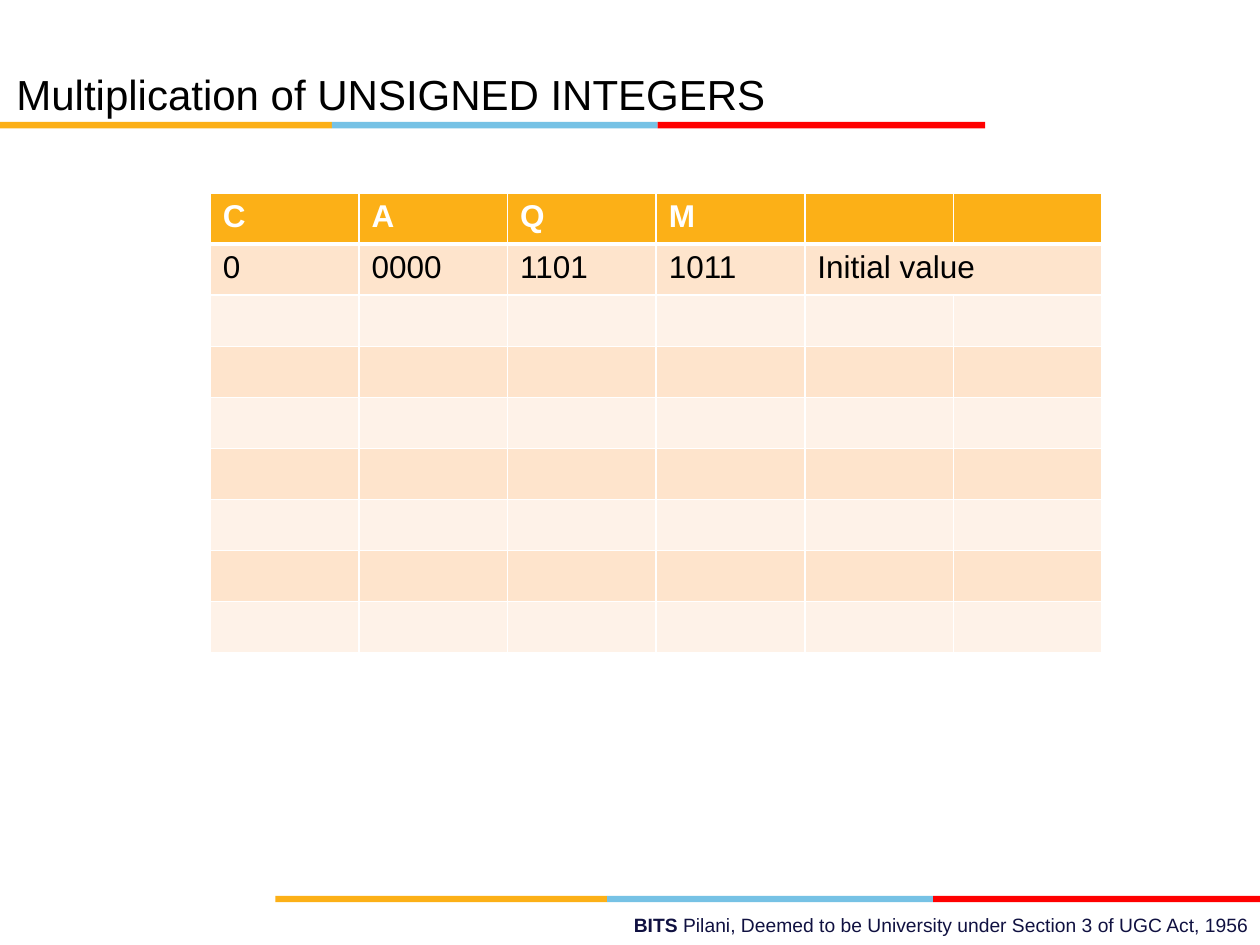
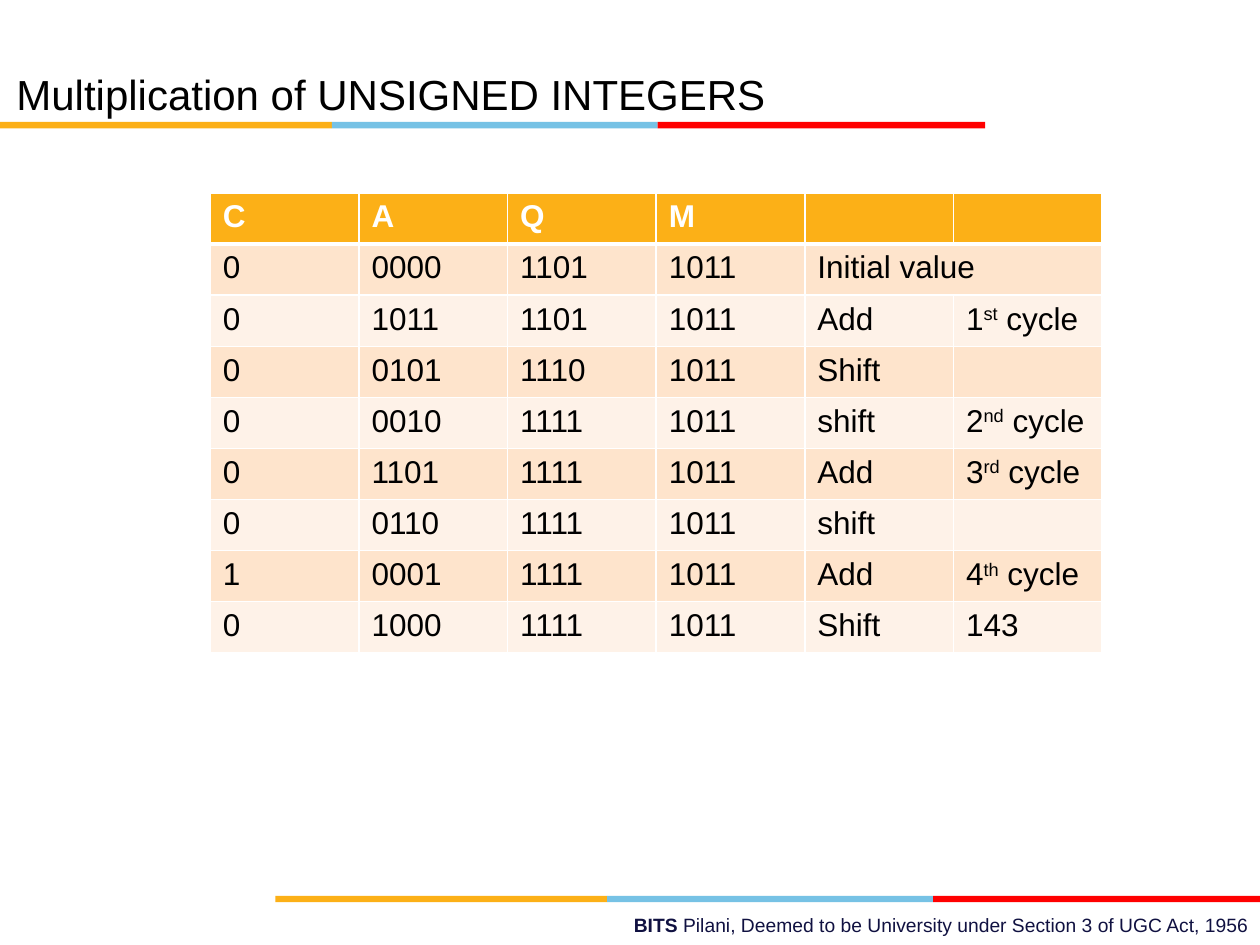
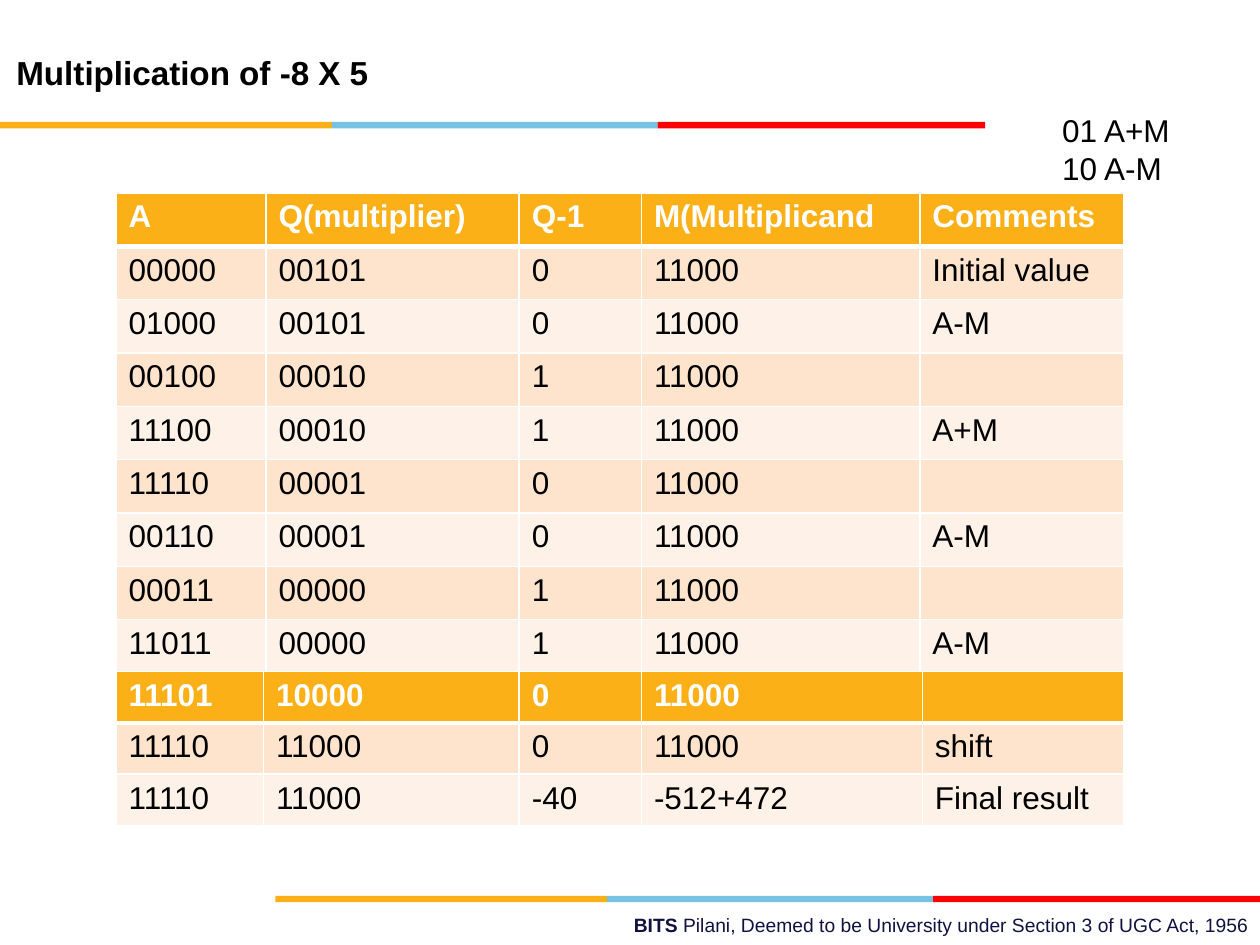
import pptx
import pptx.dml.color
import pptx.enum.shapes
import pptx.enum.text
import pptx.oxml
import pptx.oxml.ns
import pptx.util

Cm = pptx.util.Cm
Pt = pptx.util.Pt
RGBColor = pptx.dml.color.RGBColor
PP_ALIGN = pptx.enum.text.PP_ALIGN
MSO_ANCHOR = pptx.enum.text.MSO_ANCHOR

AMBER = RGBColor(0xFC, 0xB0, 0x17)
SKY = RGBColor(0x76, 0xC2, 0xE5)
RED = RGBColor(0xFF, 0x00, 0x00)
NAVY = RGBColor(0x10, 0x11, 0x41)
BLACK = RGBColor(0x00, 0x00, 0x00)
WHITE = RGBColor(0xFF, 0xFF, 0xFF)
BAND_DARK = RGBColor(0xFE, 0xE4, 0xCC)
BAND_LIGHT = RGBColor(0xFE, 0xF2, 0xE8)

FONT = "Arial"
BODY = {"name": FONT, "size": Pt(18), "bold": False}
HEADER = {**BODY, "bold": True}
TITLE = {"name": FONT, "size": Pt(24), "bold": False}
SMALL_TITLE = {"name": FONT, "size": Pt(19), "bold": True}
FOOTER = {"name": FONT, "size": Pt(11)}
NO_MARGINS = dict.fromkeys(("margin_left", "margin_top", "margin_right", "margin_bottom"), 0)

BAND_PARTS = ((6.69, AMBER), (6.57, SKY), (6.6, RED))
BAND_HEIGHT = 0.13

UNSIGNED_TITLE = "Multiplication of UNSIGNED INTEGERS"
UNSIGNED_BOX = (4.24, 3.89, 17.98, 9.27)
UNSIGNED_COLUMNS = (1,) * 6
UNSIGNED_ROWS = (
    ("C", "A", "Q", "M", "", ""),
    ("0", "0000", "1101", "1011", "Initial value", ""),
    ("0", "1011", "1101", "1011", "Add", "1^st^ cycle"),
    ("0", "0101", "1110", "1011", "Shift", ""),
    ("0", "0010", "1111", "1011", "shift", "2^nd^ cycle"),
    ("0", "1101", "1111", "1011", "Add", "3^rd^ cycle"),
    ("0", "0110", "1111", "1011", "shift", ""),
    ("1", "0001", "1111", "1011", "Add", "4^th^ cycle"),
    ("0", "1000", "1111", "1011", "Shift", "143"),
)
BLANK_ROW = ("",) * 6

SIGNED_BOX = (2.34, 3.89, 20.32, 9.68)
SIGNED_COLUMNS = (1.19, 2.01, 0.97, 2.21, 1.62)
SIGNED_ROWS = (
    ("A", "Q(multiplier)", "Q-1", "M(Multiplicand", "Comments"),
    ("00000", "00101", "0", "11000", "Initial value"),
    ("01000", "00101", "0", "11000", "A-M"),
    ("00100", "00010", "1", "11000", ""),
    ("11100", "00010", "1", "11000", "A+M"),
    ("11110", "00001", "0", "11000", ""),
    ("00110", "00001", "0", "11000", "A-M"),
    ("00011", "00000", "1", "11000", ""),
    ("11011", "00000", "1", "11000", "A-M"),
)
RESULT_BOX = (2.34, 13.54, 20.32, 3.1)
RESULT_COLUMNS = (1.17, 2.03, 0.97, 2.23, 1.6)
RESULT_ROWS = (
    ("11101", "10000", "0", "11000", ""),
    ("11110", "11000", "0", "11000", "shift"),
    ("11110", "11000", "-40", "-512+472", "Final result"),
)


def set_attributes(target, values):
    for name, value in values.items():
        setattr(target, name, value)


def lengths(box):
    return [Cm(value) for value in box]


def add_run(paragraph, text, font_format, color):
    run = paragraph.add_run()
    run.text = text
    set_attributes(run.font, font_format)
    run.font.color.rgb = color
    return run


def add_band(slide, left, top):
    for width, color in BAND_PARTS:
        shape = slide.shapes.add_shape(
            pptx.enum.shapes.MSO_SHAPE.RECTANGLE, *lengths((left, top, width, BAND_HEIGHT)))
        shape.shadow.inherit = False
        shape.fill.solid()
        shape.fill.fore_color.rgb = color
        shape.line.fill.background()
        left += width


def add_footer(slide, box):
    frame = slide.shapes.add_textbox(*lengths(box)).text_frame
    frame.word_wrap = True
    paragraph = frame.paragraphs[0]
    paragraph.alignment = PP_ALIGN.RIGHT
    add_run(paragraph, "BITS ", {**FOOTER, "bold": True}, NAVY)
    add_run(paragraph, "Pilani, Deemed to be University under Section 3 of UGC Act, 1956",
            {**FOOTER, "bold": False}, NAVY)


def add_title(slide, box, text, font_format):
    title = slide.shapes.title
    set_attributes(title, dict(zip(("left", "top", "width", "height"), lengths(box))))
    frame = title.text_frame
    set_attributes(frame, {**NO_MARGINS, "vertical_anchor": MSO_ANCHOR.BOTTOM, "word_wrap": True,
                           "auto_size": pptx.enum.text.MSO_AUTO_SIZE.NONE})
    paragraph = frame.paragraphs[0]
    paragraph.alignment = PP_ALIGN.LEFT
    add_run(paragraph, text, font_format, BLACK)


def add_rules(slide, box, lines):
    frame = slide.shapes.add_textbox(*lengths(box)).text_frame
    frame.word_wrap = True
    for index, line in enumerate(lines):
        paragraph = frame.add_paragraph() if index else frame.paragraphs[0]
        add_run(paragraph, line, BODY, BLACK)


def set_borders(cell, row_index):
    widths = {"L": 1, "R": 1, "T": 3 if row_index == 1 else 1, "B": 3 if row_index == 0 else 1}
    properties = cell._tc.get_or_add_tcPr()
    for side, width in widths.items():
        properties.append(pptx.oxml.parse_xml(
            f'<a:ln{side} {pptx.oxml.ns.nsdecls("a")} w="{Pt(width)}">'
            f'<a:solidFill><a:srgbClr val="{WHITE}"/></a:solidFill></a:ln{side}>'))


def fill_cell(cell, text, row_index):
    set_borders(cell, row_index)
    cell.fill.solid()
    if row_index == 0:
        background, font_format, color = AMBER, HEADER, WHITE
    else:
        background = BAND_DARK if row_index % 2 else BAND_LIGHT
        font_format, color = BODY, BLACK
    cell.fill.fore_color.rgb = background
    if not text:
        return
    paragraph = cell.text_frame.paragraphs[0]
    for index, part in enumerate(text.split("^")):
        run = add_run(paragraph, part, font_format, color)
        if index % 2:
            run._r.get_or_add_rPr().set("baseline", "30000")


def add_register_table(slide, box, column_shares, rows):
    left, top, width, height = lengths(box)
    table = slide.shapes.add_table(len(rows), len(column_shares), left, top, width, height).table
    for column, share in zip(table.columns, column_shares):
        column.width = round(width * share / sum(column_shares))
    for row_index, values in enumerate(rows):
        table.rows[row_index].height = round(height / len(rows))
        for column_index, text in enumerate(values):
            fill_cell(table.cell(row_index, column_index), text, row_index)
    return table


def add_base_slide(presentation, title, title_top, title_format):
    slide = presentation.slides.add_slide(presentation.slide_layouts[5])
    add_band(slide, 0, 2.46)
    add_footer(slide, (8.79, 18.29, 16.64, 0.74))
    add_band(slide, 5.55, 18.06)
    add_title(slide, (0.33, title_top, 18.14, 1.65), title, title_format)
    return slide


def add_unsigned_slide(presentation, rows):
    slide = add_base_slide(presentation, UNSIGNED_TITLE, 0.74, TITLE)
    table = add_register_table(slide, UNSIGNED_BOX, UNSIGNED_COLUMNS, rows)
    table.cell(1, 4).merge(table.cell(1, 5))


def add_signed_slide(presentation):
    slide = add_base_slide(presentation, "Multiplication of -8 X 5", 0.2, SMALL_TITLE)
    add_rules(slide, (21.16, 2.11, 2.75, 1.8), ("01 A+M", "10 A-M"))
    add_register_table(slide, SIGNED_BOX, SIGNED_COLUMNS, SIGNED_ROWS)
    add_register_table(slide, RESULT_BOX, RESULT_COLUMNS, RESULT_ROWS)


def main():
    presentation = pptx.Presentation()
    set_attributes(presentation, {"slide_width": Cm(25.4), "slide_height": Cm(19.05)})
    add_unsigned_slide(presentation, UNSIGNED_ROWS[:2] + (BLANK_ROW,) * 7)
    add_unsigned_slide(presentation, UNSIGNED_ROWS)
    add_signed_slide(presentation)
    presentation.save("out.pptx")


if __name__ == "__main__":
    main()
